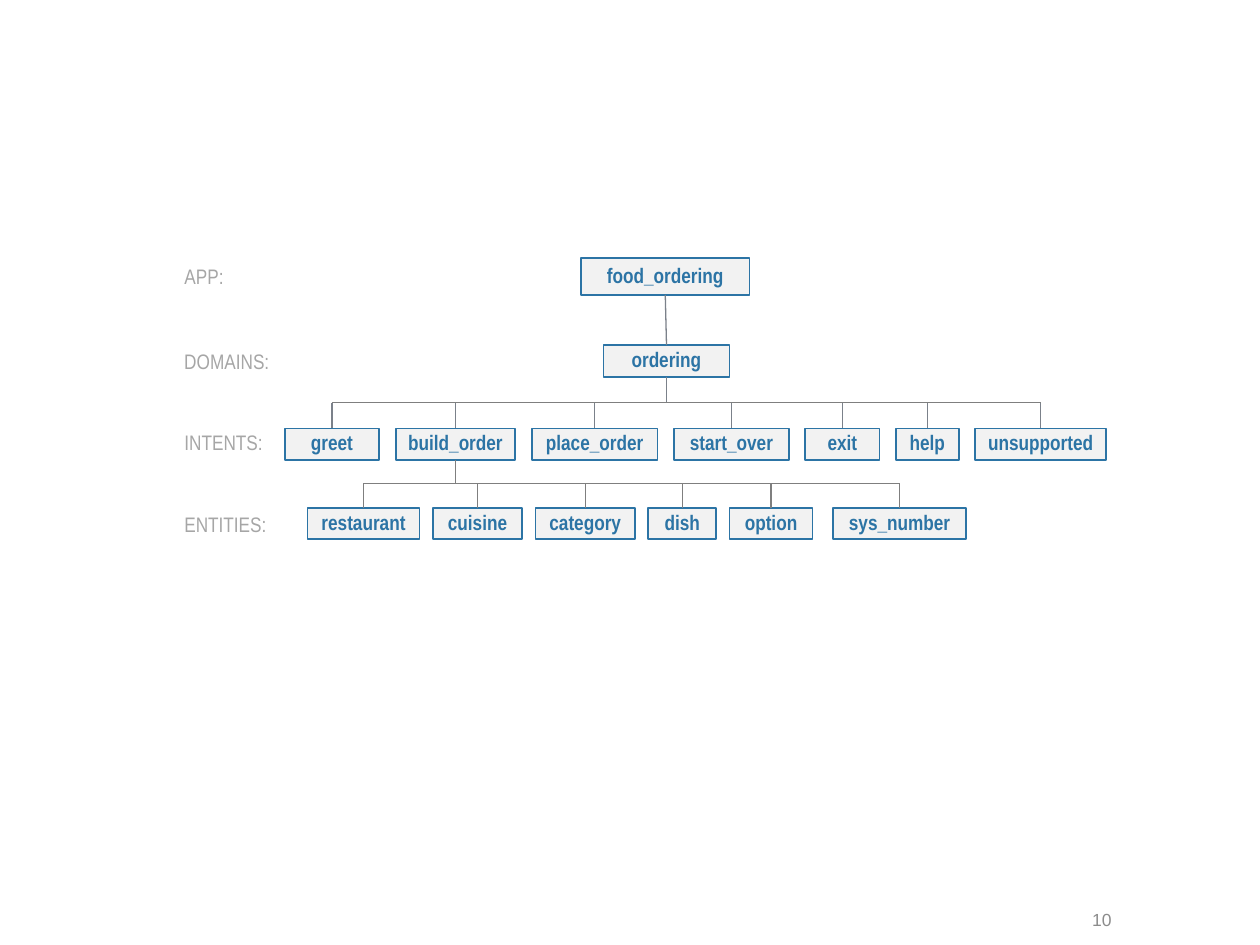
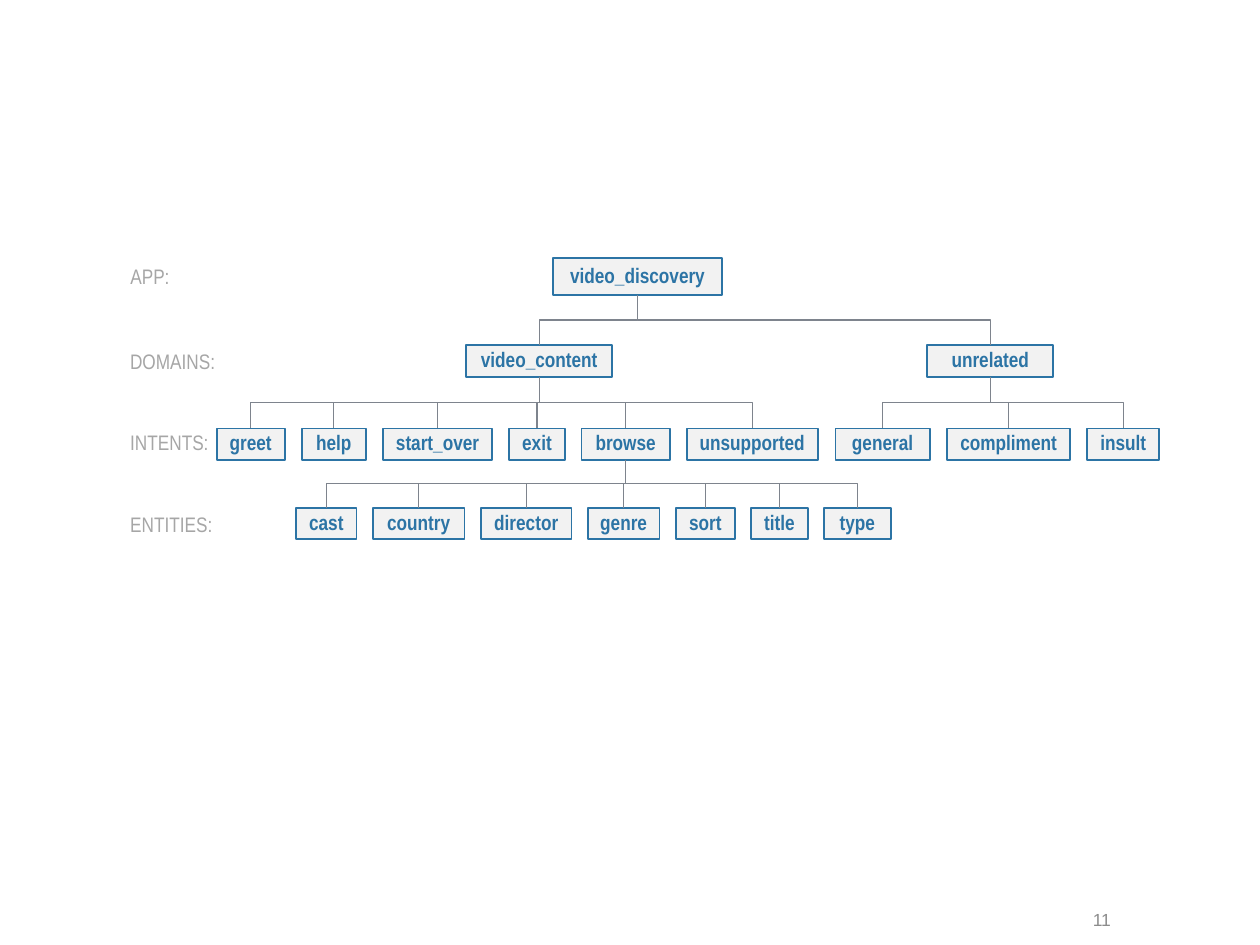
"""Build two slides that show the app, domain, intent and entity trees of two assistants."""
import dataclasses

import pptx
import pptx.dml.color
import pptx.enum.shapes
import pptx.enum.text
import pptx.oxml.ns
import pptx.util
from lxml import etree

Inches = pptx.util.Inches
MSO_CONNECTOR = pptx.enum.shapes.MSO_CONNECTOR


@dataclasses.dataclass(frozen=True)
class Theme:
    node_font: str = "Arial Narrow"
    number_font: str = "Arial"
    node_size: int = 12
    number_size: int = 10
    accent: str = "2C74A5"
    node_fill: str = "F2F2F2"
    label: str = "A6A6A6"
    number: str = "8C8C8C"
    bus: str = "7F7F7F"
    elbow: str = "7E848D"
    border: float = 1
    wire: float = 0.75


THEME = Theme()
SLIDE_SIZE = (10, 7.5)
NUMBER_BOX = (7.58, 7.1, 2.33, 0.4)
LABEL_HEIGHT = 0.3

# Level: label, label width, label top, node top, node height, drop colour
LEVELS = [
    ("APP:", 0.52, 2.04, 2.05, 0.29, "7B818A"),
    ("DOMAINS:", 0.88, 2.72, 2.74, 0.25, "7B818A"),
    ("INTENTS:", 0.83, 3.36, 3.4, 0.25, "7B818A"),
    ("ENTITIES:", 0.86, 4.01, 4.03, 0.25, "7F7F7F"),
]

# Group: level, parent, left edge, right edge, node widths
TREES = [
    {
        "number": "10", "label_left": 1.36, "wiring": "bus",
        "groups": [
            (0, None, 4.61, 5.95, {"food_ordering": 1.34}),
            (1, "food_ordering", 4.79, 5.79, {"ordering": 1}),
            (2, "ordering", 2.26, 8.78, {
                "greet": 0.75, "build_order": 0.95, "place_order": 1, "start_over": 0.91,
                "exit": 0.59, "help": 0.5, "unsupported": 1.04}),
            (3, "build_order", 2.44, 6.45, {
                "restaurant": 0.89, "cuisine": 0.71, "category": 0.79, "dish": 0.54,
                "option": 0.66}),
            (3, "build_order", 6.61, 7.67, {"sys_number": 1.06}),
        ],
    },
    {
        "number": "11", "label_left": 0.93, "wiring": "elbow",
        "groups": [
            (0, None, 4.39, 5.73, {"video_discovery": 1.34}),
            (1, "video_discovery", 3.7, 4.86, {"video_content": 1.16}),
            (1, "video_discovery", 7.36, 8.36, {"unrelated": 1}),
            (2, "video_content", 1.72, 6.49, {
                "greet": 0.54, "help": 0.51, "start_over": 0.87, "exit": 0.44,
                "browse": 0.7, "unsupported": 1.04}),
            (2, "unrelated", 6.63, 9.2, {"general": 0.75, "compliment": 0.98, "insult": 0.57}),
            (3, "browse", 2.35, 7.07, {
                "cast": 0.48, "country": 0.73, "director": 0.72, "genre": 0.57,
                "sort": 0.47, "title": 0.45, "type": 0.53}),
        ],
    },
]


def rgb(value):
    return pptx.dml.color.RGBColor.from_string(value)


def write(shape, text, font, size, colour, bold=False, wrap=True):
    frame = shape.text_frame
    frame.text = text
    frame.word_wrap = wrap
    frame.vertical_anchor = pptx.enum.text.MSO_ANCHOR.MIDDLE
    paragraph = frame.paragraphs[0]
    paragraph.alignment = pptx.enum.text.PP_ALIGN.CENTER
    style = paragraph.runs[0].font
    style.name, style.size, style.bold = font, pptx.util.Pt(size), bold
    style.color.rgb = rgb(colour)


def add_caption(slide, box, text, font, size, colour, wrap=True):
    caption = slide.shapes.add_textbox(*map(Inches, box))
    write(caption, text, font, size, colour, wrap=wrap)


def add_node(slide, name, box):
    node = slide.shapes.add_shape(
        pptx.enum.shapes.MSO_SHAPE.RECTANGLE, *map(Inches, box))
    node.shadow.inherit = False
    node.fill.solid()
    node.fill.fore_color.rgb = rgb(THEME.node_fill)
    node.line.color.rgb = rgb(THEME.accent)
    node.line.width = pptx.util.Pt(THEME.border)
    write(node, name, THEME.node_font, THEME.node_size, THEME.accent, bold=True)
    node.text_frame.margin_top = 0
    node.text_frame.margin_bottom = Inches(0.03)
    return node


def add_wire(slide, kind, start, end, colour):
    wire = slide.shapes.add_connector(kind, *map(int, start + end))
    wire.line.color.rgb = rgb(colour)
    wire.line.width = pptx.util.Pt(THEME.wire)
    properties = wire._element.spPr
    etree.SubElement(properties, pptx.oxml.ns.qn("a:effectLst"))
    return wire


def bottom_of(node):
    return node.left + node.width // 2, node.top + node.height


def top_of(node):
    return node.left + node.width // 2, node.top


def add_elbow(slide, parent, child):
    """Join parent to child with an elbow turned to leave and arrive vertically."""
    start, end = bottom_of(parent), top_of(child)
    wire = add_wire(slide, MSO_CONNECTOR.ELBOW, start, end, THEME.elbow)
    wire.begin_connect(parent, 2)
    wire.end_connect(child, 0)
    across, down = end[0] - start[0], end[1] - start[1]
    wire.width, wire.height = down, abs(across)
    wire.left = (start[0] + end[0] - down) // 2
    wire.top = (start[1] + end[1] - abs(across)) // 2
    frame = wire._element.spPr.find(pptx.oxml.ns.qn("a:xfrm"))
    for flip in ("flipH", "flipV"):
        frame.attrib.pop(flip, None)
    frame.set("rot", str((270 if across > 0 else 90) * 60000))
    if across > 0:
        frame.set("flipH", "1")


def add_bus(slide, parent, children, drop_colour):
    """Join parent to children with a stem, a crossbar and one drop for each child."""
    def straight(start, end, colour):
        add_wire(slide, MSO_CONNECTOR.STRAIGHT, start, end, colour)

    stem = bottom_of(parent)
    tops = [top_of(child) for child in children]
    if len(tops) == 1:
        straight(stem, tops[0], drop_colour)
        return
    bar = (stem[1] + tops[0][1]) // 2
    straight(stem, (stem[0], bar), drop_colour)
    straight((tops[0][0], bar), (tops[-1][0], bar), THEME.bus)
    for x, y in tops:
        straight((x, bar), (x, y), drop_colour)


def add_tree(slide, tree):
    for label, width, top, *_ in LEVELS:
        add_caption(slide, (tree["label_left"], top, width, LABEL_HEIGHT), label,
                    THEME.node_font, THEME.node_size, THEME.label, wrap=False)

    nodes, families = {}, {}
    for level, parent, left, right, widths in tree["groups"]:
        top, height, drop_colour = LEVELS[level][3:]
        gap = (right - left - sum(widths.values())) / max(1, len(widths) - 1)
        for name, width in widths.items():
            nodes[name] = add_node(slide, name, (left, top, width, height))
            left += width + gap
            if parent:
                families.setdefault((parent, drop_colour), []).append(nodes[name])

    for (parent, drop_colour), children in families.items():
        if tree["wiring"] == "bus":
            add_bus(slide, nodes[parent], children, drop_colour)
        else:
            for child in children:
                add_elbow(slide, nodes[parent], child)

    add_caption(slide, NUMBER_BOX, tree["number"],
                THEME.number_font, THEME.number_size, THEME.number)


def main():
    deck = pptx.Presentation()
    deck.slide_width, deck.slide_height = map(Inches, SLIDE_SIZE)
    for tree in TREES:
        add_tree(deck.slides.add_slide(deck.slide_layouts[6]), tree)
    deck.save("out.pptx")


if __name__ == "__main__":
    main()
